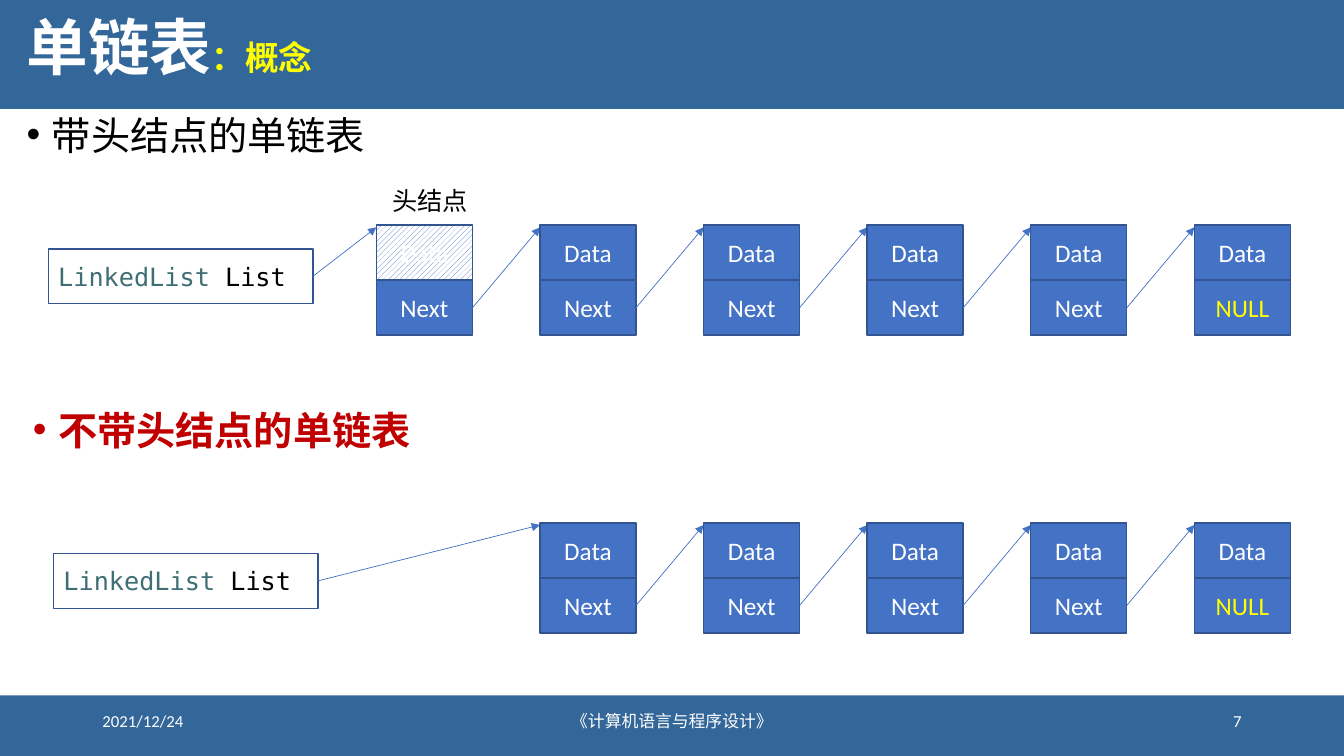
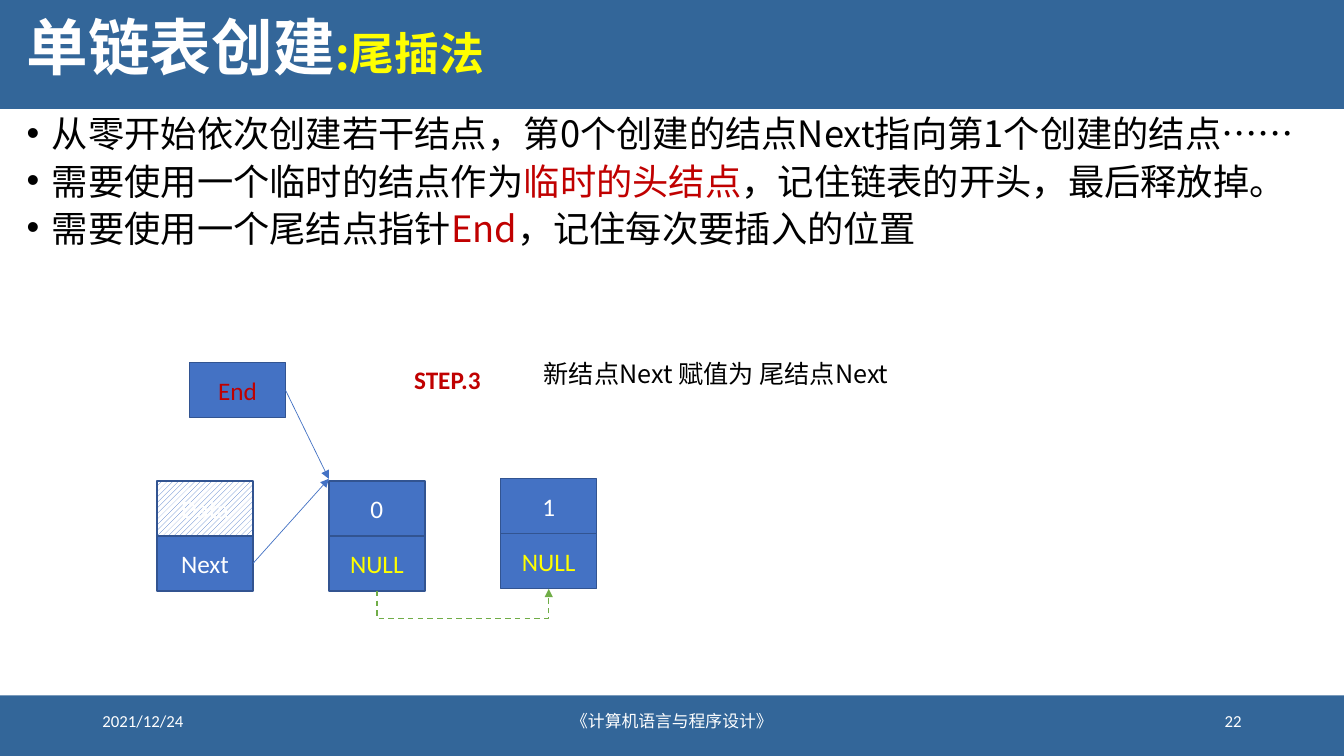
from lxml.etree import SubElement
from pptx import Presentation
from pptx.dml.color import RGBColor
from pptx.enum.dml import MSO_LINE, MSO_PATTERN
from pptx.enum.shapes import MSO_CONNECTOR, MSO_SHAPE
from pptx.enum.text import MSO_ANCHOR, PP_ALIGN
from pptx.oxml.ns import qn
from pptx.util import Inches, Pt

COLORS = {
    "band": "336699", "white": "FFFFFF", "black": "000000", "yellow": "FFFF00",
    "red": "C00000", "node": "4472C4", "edge": "325491", "type": "3F6E74",
    "pending": "70AD47",
}
LATIN, CHINESE, CODE = "Calibri", "Noto Sans CJK SC", "DejaVu Sans Mono"
COLUMNS, ROWS = 128, 72
CELL_WIDTH, CELL_HEIGHT = 9.15, 5.24
LEFT, CENTER, RIGHT = PP_ALIGN.LEFT, PP_ALIGN.CENTER, PP_ALIGN.RIGHT


def rgb(name):
    return RGBColor.from_string(COLORS[name])


class LectureDeck:
    def __init__(self):
        self.deck = Presentation()
        self.deck.slide_width, self.deck.slide_height = Inches(13.33), Inches(7.5)
        self.shapes = None

    def x(self, columns):
        return round(self.deck.slide_width * columns / COLUMNS)

    def y(self, rows):
        return round(self.deck.slide_height * rows / ROWS)

    def area(self, left, top, width, height):
        return self.x(left), self.y(top), self.x(width), self.y(height)

    def start(self, title, topic, topic_size, number):
        self.shapes = self.deck.slides.add_slide(self.deck.slide_layouts[6]).shapes
        self.box(0, 0, COLUMNS, 10.37, fill="band")
        self.box(0, 66.24, COLUMNS, 5.76, fill="band")
        for left, width, words, align in (
            (8.8, 28.8, "2021/12/24", LEFT),
            (42.4, 43.2, "《计算机语言与程序设计》", CENTER),
            (90.4, 28.8, number, RIGHT),
        ):
            self.text(left, 66.74, width, 3.83, [[(words, "white")]], size=12,
                      align=align, anchor=MSO_ANCHOR.MIDDLE)
        self.text(1.6, 0, 123.6, 9.9,
                  [[(title, "white"), (topic, "yellow", topic_size)]], size=44,
                  font=CHINESE, bold=True, spacing=0.83, anchor=MSO_ANCHOR.MIDDLE)

    def fill_frame(self, frame, paragraphs, size=18, font=LATIN, bold=False, align=LEFT,
                   anchor=MSO_ANCHOR.TOP, spacing=None, bullets=False, wrap=True):
        frame.word_wrap = wrap
        frame.vertical_anchor = anchor
        for index, runs in enumerate(paragraphs):
            paragraph = frame.add_paragraph() if index else frame.paragraphs[0]
            paragraph.alignment = align
            if spacing:
                paragraph.line_spacing = spacing
            if bullets:
                if index:
                    paragraph.space_before = Pt(10)
                self.bullet(paragraph)
            for words, color, *own_size in runs:
                run = paragraph.add_run()
                run.text = words
                run.font.size = Pt(own_size[0] if own_size else size)
                run.font.bold = bold
                run.font.color.rgb = rgb(color)
                run.font.name = font
                east_asian = SubElement(run.font._element, qn("a:ea"))
                east_asian.set("typeface", CHINESE)

    def bullet(self, paragraph):
        properties = paragraph._p.get_or_add_pPr()
        properties.set("marL", str(Inches(0.25)))
        properties.set("indent", str(-Inches(0.25)))
        SubElement(properties, qn("a:buFont")).set("typeface", "Arial")
        SubElement(properties, qn("a:buChar")).set("char", "•")

    def text(self, left, top, width, height, paragraphs, **style):
        holder = self.shapes.add_textbox(*self.area(left, top, width, height))
        self.fill_frame(holder.text_frame, paragraphs, **style)

    def bullets(self, left, top, paragraphs, size=28, bold=False):
        self.text(left, top, 123.6, 5.5 * len(paragraphs), paragraphs, size=size,
                  font=CHINESE, bold=bold, spacing=0.76, bullets=True)

    def box(self, left, top, width, height, fill=None, edge=None, hatched=False):
        shape = self.shapes.add_shape(MSO_SHAPE.RECTANGLE,
                                      *self.area(left, top, width, height))
        shape.shadow.inherit = False
        if hatched:
            shape.fill.patterned()
            shape.fill.pattern = MSO_PATTERN.WIDE_UPWARD_DIAGONAL
            shape.fill.fore_color.rgb = rgb(fill)
            shape.fill.back_color.rgb = rgb("white")
        elif fill:
            shape.fill.solid()
            shape.fill.fore_color.rgb = rgb(fill)
        else:
            shape.fill.background()
        if edge:
            shape.line.color.rgb = rgb(edge)
            shape.line.width = Pt(1)
        else:
            shape.line.fill.background()
        return shape

    def cell(self, left, top, words, color="white", hatched=False):
        shape = self.box(left, top, CELL_WIDTH, CELL_HEIGHT, "node", "edge", hatched)
        self.fill_frame(shape.text_frame, [[(words, color)]], align=CENTER,
                        anchor=MSO_ANCHOR.MIDDLE)
        return shape

    def node(self, left, top, data="Data", last=False, head=False):
        self.cell(left, top, data, hatched=head)
        link = ("NULL", "yellow") if last else ("Next", "white")
        return self.cell(left, top + CELL_HEIGHT, *link)

    def declaration(self, left, top):
        shape = self.box(left, top, 25.2, CELL_HEIGHT, edge="edge")
        self.fill_frame(shape.text_frame,
                        [[("LinkedList ", "type"), ("List", "black")]],
                        font=CODE, anchor=MSO_ANCHOR.MIDDLE)
        return shape

    def finish_line(self, line, color, width):
        line.line.color.rgb = rgb(color)
        line.line.width = Pt(width)
        SubElement(line.line._get_or_add_ln(), qn("a:tailEnd")).set("type", "triangle")
        SubElement(line._element.spPr, qn("a:effectLst"))

    def arrow(self, source, left, top):
        line = self.shapes.add_connector(MSO_CONNECTOR.STRAIGHT, 0, 0,
                                         self.x(left), self.y(top))
        line.begin_connect(source, 3)
        self.finish_line(line, "node", 0.5)

    def under_arrow(self, source, target, drop):
        line = self.shapes.add_connector(MSO_CONNECTOR.ELBOW, 0, 0, 0, 0)
        line.begin_connect(source, 2)
        line.end_connect(target, 2)
        span = line.end_x - line.begin_x
        rise = line.begin_y - line.end_y
        frame = line._element.spPr.find(qn("a:xfrm"))
        for name, value in (("rot", "5400000"), ("flipH", "1"), ("flipV", "1")):
            frame.set(name, value)
        line.left, line.top = line.left + (span - rise) // 2, line.top + (rise - span) // 2
        line.width, line.height = rise, span
        geometry = line._element.spPr.find(qn("a:prstGeom"))
        guides = geometry.find(qn("a:avLst"))
        if guides is None:
            guides = SubElement(geometry, qn("a:avLst"))
        bend = SubElement(guides, qn("a:gd"))
        bend.set("name", "adj1")
        bend.set("fmla", f"val {round(-self.y(drop) / rise * 100000)}")
        line.line.dash_style = MSO_LINE.DASH
        self.finish_line(line, "pending", 1)

    def chain(self, source, top, positions, headed=False):
        for index, left in enumerate(positions):
            self.arrow(source, left, top + 0.2)
            head = headed and index == 0
            source = self.node(left, top, head=head, last=index == len(positions) - 1)


def concept_slide(lecture):
    lecture.start("单链表", "：概念", 24, "7")
    positions = [35.85 + 15.58 * index for index in range(6)]
    lecture.bullets(1.6, 11.1, [[("带头结点的单链表", "black")]])
    lecture.chain(lecture.declaration(4.6, 23.7), 21.45, positions, headed=True)
    lecture.text(36.4, 17.66, 9.2, 3.84, [[("头结点", "black")]], font=CHINESE,
                 spacing=0.82, wrap=False)
    lecture.bullets(2.2, 39.26, [[("不带头结点的单链表", "red")]], bold=True)
    lecture.chain(lecture.declaration(5.1, 52.7), 49.8, positions[1:])


def tail_insertion_slide(lecture):
    lecture.start("单链表创建", ":尾插法", 32, "22")
    lecture.bullets(1.6, 11.1, [
        [("从零开始依次创建若干结点，第0个创建的结点Next指向第1个创建的结点……", "black")],
        [("需要使用一个临时的结点作为", "black"), ("临时的头结点", "red"),
         ("，记住链表的开头，最后释放掉。", "black")],
        [("需要使用一个尾结点指针", "black"), ("End", "red"),
         ("，记住每次要插入的位置", "black")],
    ], size=25.9)
    head_left, first_left, new_left = (14.95 + 16.37 * index for index in range(3))
    head = lecture.node(head_left, 45.8, head=True)
    first = lecture.node(first_left, 45.8, "0", last=True)
    new = lecture.node(new_left, 45.6, "1", last=True)
    end = lecture.cell(18.05, 34.55, "End", "red")
    for source in (head, end):
        lecture.arrow(source, first_left, 45.6)
    lecture.under_arrow(first, new, 2.6)
    lecture.text(38.5, 34.2, 8.4, 3.84, [[("STEP.3", "red")]], bold=True, wrap=False)
    lecture.text(50.1, 34.2, 36.2, 3.84, [[("新结点Next 赋值为 尾结点Next", "black")]],
                 font=CHINESE, align=CENTER, spacing=0.82)


def main():
    lecture = LectureDeck()
    concept_slide(lecture)
    tail_insertion_slide(lecture)
    lecture.deck.save("out.pptx")


if __name__ == "__main__":
    main()
